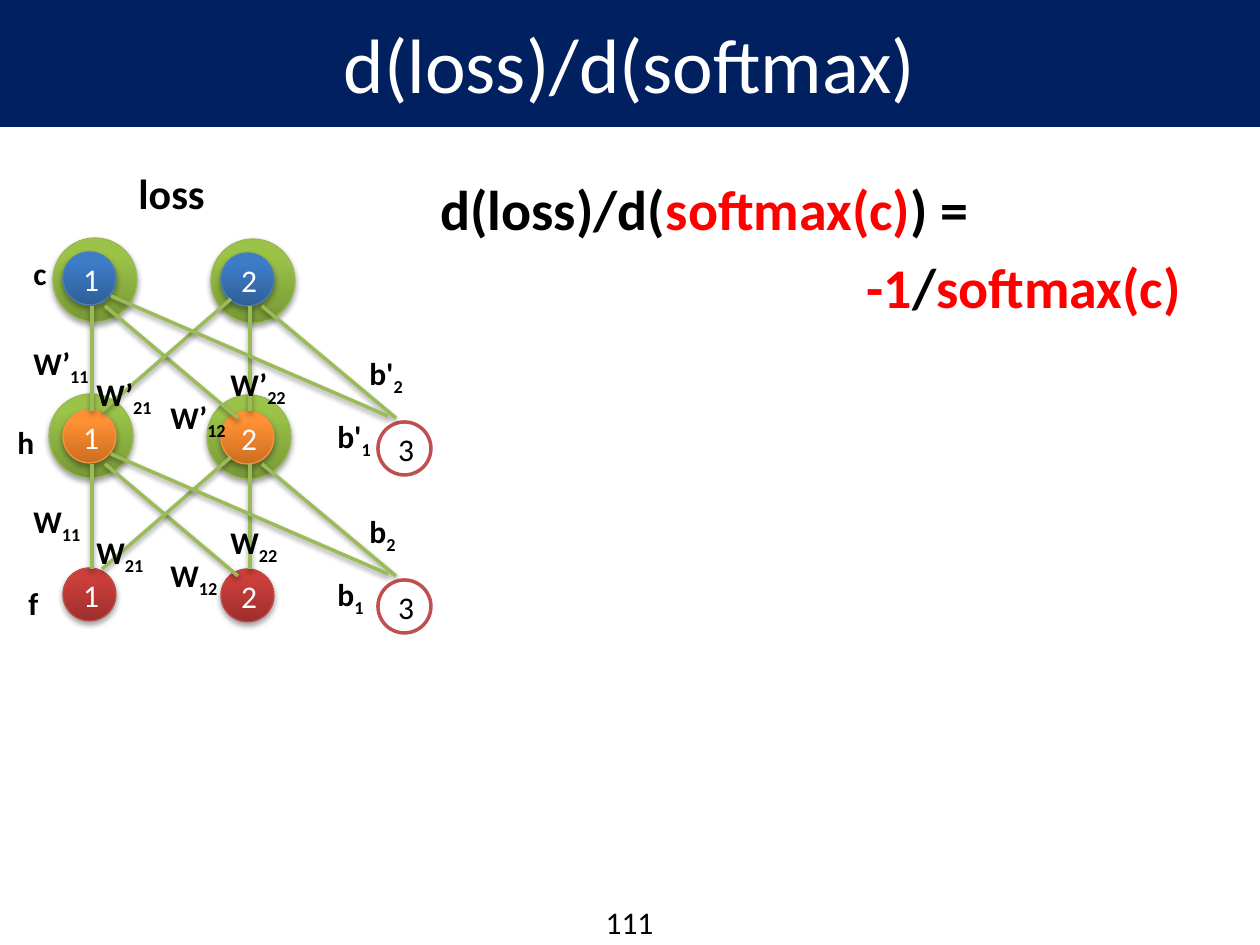
import lxml.etree
import pptx
import pptx.dml.color
import pptx.enum.shapes
import pptx.enum.text
import pptx.oxml.ns
import pptx.util

PX = 914400 / 126
STEP = 158
NODE = 53
HALO = 84
INK = {
    "navy": "002060", "white": "FFFFFF", "black": "000000", "red": "FF0000",
    "link": "9BBB59", "bias": "C0504D",
}
SKIN = {
    "halo": ("779737", "9BC348", "98B955"),
    "blue": ("2F5F99", "3D7CC7", "4B7EBC"),
    "orange": ("CC6E20", "FF9034", "F69240"),
    "red": ("9C2F2D", "CB3E3A", "BF4C48"),
}
LINKS = [
    (29, 54, 29, 159), (187, 54, 187, 159), (199, 54, 333, 166),
    (42, 54, 175, 166), (168, 47, 39, 159), (48, 44, 325, 164),
]
WEIGHTS = [("11", -42, 86), ("21", 21, 117), ("12", 95, 140), ("22", 155, 107)]
BIASES = [("1", 262, 159), ("2", 294, 96)]
FORM = pptx.enum.shapes.MSO_SHAPE
ALIGN = pptx.enum.text.PP_ALIGN
qn = pptx.oxml.ns.qn


def px(n):
    return pptx.util.Emu(round(n * PX))


def rgb(code):
    return pptx.dml.color.RGBColor.from_string(code)


def style(run, size, ink, bold=False, sub=False):
    font = run.font
    font.name = "Calibri"
    font.size = pptx.util.Pt(size)
    font.bold = bold
    font.color.rgb = rgb(INK[ink])
    if sub:
        run._r.get_or_add_rPr().set("baseline", "-25000")


def glow(item, dist, alpha):
    props = item._element.spPr
    list_ = props.find(qn("a:effectLst"))
    if list_ is None:
        list_ = lxml.etree.SubElement(props, qn("a:effectLst"))
    shade = lxml.etree.SubElement(
        list_, qn("a:outerShdw"), blurRad="40000", dist=str(dist),
        dir="5400000", rotWithShape="0")
    tint = lxml.etree.SubElement(shade, qn("a:srgbClr"), val=INK["black"])
    lxml.etree.SubElement(tint, qn("a:alpha"), val=str(alpha * 1000))


def shape(slide, form, box, fill, edge, width):
    item = slide.shapes.add_shape(form, *map(px, box))
    item.shadow.inherit = False
    item.fill.solid()
    item.fill.fore_color.rgb = rgb(fill)
    item.line.color.rgb = rgb(edge)
    item.line.width = pptx.util.Pt(width)
    return item


def write(item, text, size, ink):
    frame = item.text_frame
    frame.text = text
    frame.vertical_anchor = pptx.enum.text.MSO_ANCHOR.MIDDLE
    para = frame.paragraphs[0]
    para.alignment = ALIGN.CENTER
    style(para.runs[0], size, ink)


def ball(slide, x, y, size, skin, text=""):
    dark, light, edge = SKIN[skin]
    item = shape(slide, FORM.OVAL, (x, y, size, size), light, edge, 0.75)
    item.fill.gradient()
    item.fill.gradient_angle = 90
    for stop, spot, code in zip(item.fill.gradient_stops, (0, 0.8), (dark, light)):
        stop.position = spot
        stop.color.rgb = rgb(code)
    glow(item, 23000, 35)
    if text:
        write(item, text, 18, "white")


def label(slide, box, text, sub="", size=18, bold=True):
    item = slide.shapes.add_textbox(*map(px, box))
    frame = item.text_frame
    frame.word_wrap = False
    frame.auto_size = pptx.enum.text.MSO_AUTO_SIZE.SHAPE_TO_FIT_TEXT
    frame.text = text
    para = frame.paragraphs[0]
    style(para.runs[0], size, "black", bold)
    if sub:
        run = para.add_run()
        run.text = sub
        style(run, size, "black", bold, True)
    return para


def title(slide, box):
    item = shape(slide, FORM.RECTANGLE, box, INK["navy"], INK["navy"], 0.75)
    write(item, "d(loss)/d(softmax)", 44, "white")


def body(slide, box):
    frame = slide.shapes.add_textbox(*map(px, box)).text_frame
    frame.word_wrap = True
    rows = [
        (48, -48, [("d(loss)/d(", "black"), ("softmax(c)", "red"), (") =", "black")]),
        (426, 0, [("-1", "red"), ("/", "black"), ("softmax(c)", "red")]),
    ]
    for i, (left, hang, parts) in enumerate(rows):
        para = frame.add_paragraph() if i else frame.paragraphs[0]
        para.space_before = pptx.util.Pt(6.4)
        props = para._p.get_or_add_pPr()
        props.set("marL", str(px(left)))
        props.set("indent", str(px(hang)))
        for text, ink in parts:
            run = para.add_run()
            run.text = text
            style(run, 32, ink, True)


def row(slide, x, y, skin, halo=None):
    for i in range(2):
        left, top = x + i * STEP, y + i
        if halo:
            ball(slide, left + halo[0], top + halo[1], HALO, "halo")
        ball(slide, left, top, NODE, skin, str(i + 1))


def layer(slide, x, y, mark, tick, wide, slim):
    box = (x + 2 * STEP - 1, y + 170, NODE, NODE)
    bias = shape(slide, FORM.OVAL, box, INK["white"], INK["bias"], 2)
    write(bias, "3", 18, "black")
    for x1, y1, x2, y2 in LINKS:
        ends = map(px, (x + x1, y + y1, x + x2, y + y2))
        link = slide.shapes.add_connector(
            pptx.enum.shapes.MSO_CONNECTOR.STRAIGHT, *ends)
        link.line.color.rgb = rgb(INK["link"])
        link.line.width = pptx.util.Pt(2)
        glow(link, 20000, 38)
    for text, width, spots in ((mark, wide, WEIGHTS), (tick, slim, BIASES)):
        for sub, dx, dy in spots:
            label(slide, (x + dx, y + dy, width, 50), text, sub)


def net(slide, x, y):
    row(slide, x, y, "blue", (-10, -14))
    row(slide, x, y + STEP, "orange", (-14, -16))
    row(slide, x, y + 2 * STEP, "red")
    layer(slide, x, y, "W’", "b'", 84, 60)
    layer(slide, x, y + STEP, "W", "b", 76, 53)
    for text, dx, dy, width in (("h", -58, 165, 43), ("c", -42, -4, 39), ("f", -47, 326, 35)):
        label(slide, (x + dx, y + dy, width, 50), text)
    label(slide, (x + 63, y - 91, 92, 63), "loss", size=24)


def main():
    deck = pptx.Presentation()
    deck.slide_width, deck.slide_height = px(1260), px(945)
    slide = deck.slides.add_slide(deck.slide_layouts[6])
    page = label(slide, (577, 897, 105, 50), "111", bold=False)
    page.alignment = ALIGN.CENTER
    body(slide, (428, 168, 853, 746))
    title(slide, (0, 0, 1260, 126))
    net(slide, 63, 252)
    deck.save("out.pptx")


if __name__ == "__main__":
    main()
